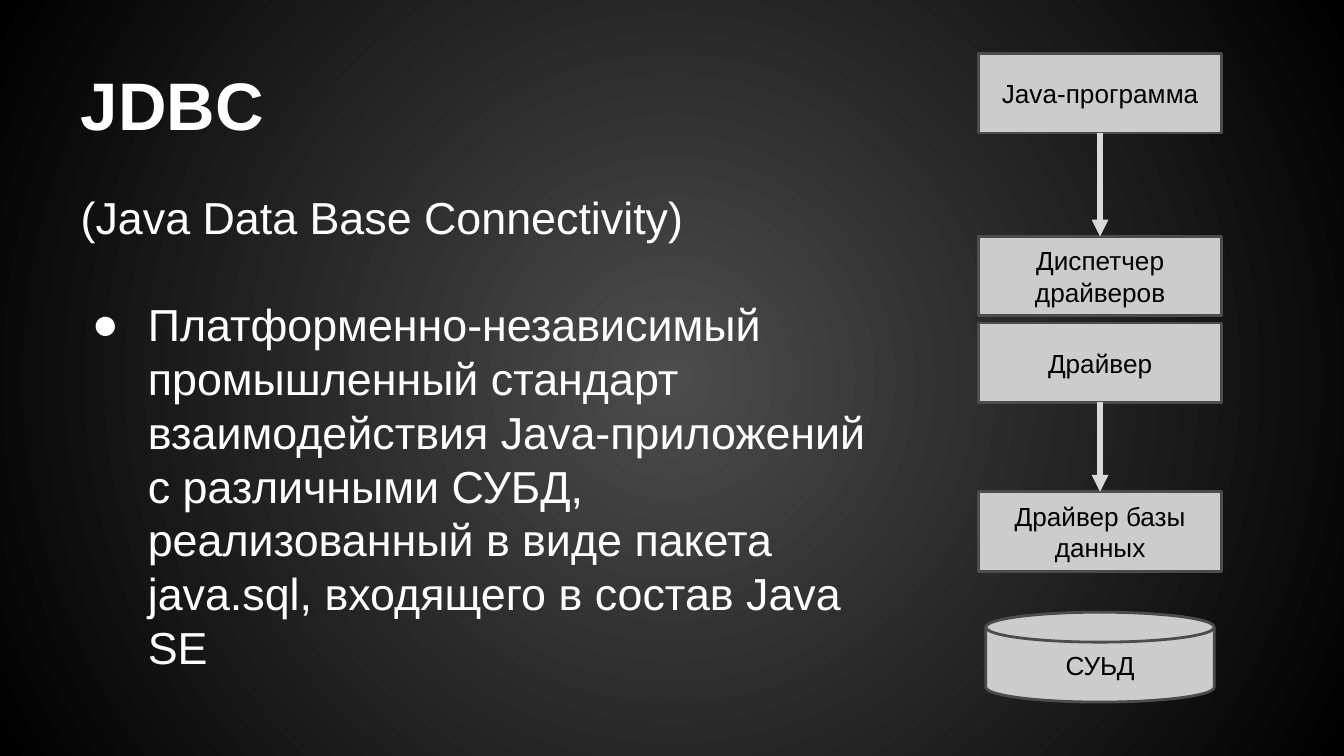
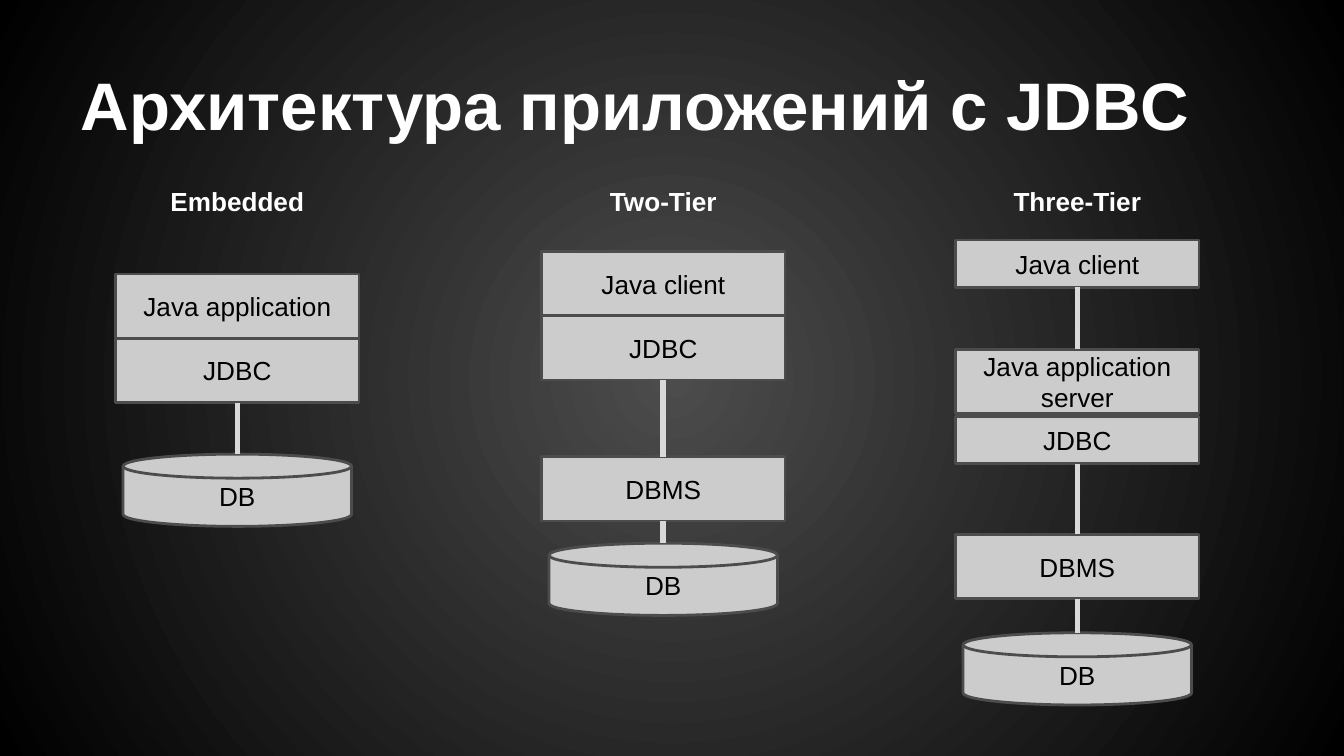
"""Builds two slides on JDBC and the architecture of applications that use it."""
from dataclasses import dataclass

from pptx import Presentation
from pptx.dml.color import RGBColor
from pptx.enum.shapes import MSO_CONNECTOR as CONNECTOR, MSO_SHAPE as SHAPE
from pptx.enum.text import MSO_ANCHOR as ANCHOR, MSO_AUTO_SIZE as AUTO_SIZE, PP_ALIGN as ALIGN
from pptx.oxml.ns import qn
from pptx.oxml.xmlchemy import OxmlElement
from pptx.util import Pt

WHITE = RGBColor(0xFF, 0xFF, 0xFF)
BLACK = RGBColor(0x00, 0x00, 0x00)
DARK_GREY = RGBColor(0x4C, 0x4C, 0x4C)
BOX_GREY = RGBColor(0xCC, 0xCC, 0xCC)
LINK_GREY = RGBColor(0xD9, 0xD9, 0xD9)
FONT = "Arial"
INSET = 7.2
BOX_WIDTH = 130.3
DISK_WIDTH = 122.4
TITLE_BOX = (36, 16.6, 648, 67.7)
BODY_BOX = (36, 94.3, 452.2, 293)
HEADING_TOP, HEADING_HEIGHT = 92.2, 46.8
TITLE_AND_BODY, TITLE_ONLY = 1, 5


@dataclass
class Tier:
    """One box of a stack; linked tiers are joined to the next one."""
    label: str
    top: float
    height: float = 34.5
    linked: bool = False


DRIVER_STACK = [
    Tier("Java-программа", 28.8, 42.5, True),
    Tier("Диспетчер драйверов", 126.7, 42.5),
    Tier("Драйвер", 173, 42.5, True),
    Tier("Драйвер базы данных", 263.5, 42.5),
    Tier("СУЬД", 328, 48.2),
]
ARCHITECTURES = [
    ("Embedded", 62, [
        Tier("Java application", 146.8),
        Tier("JDBC", 181.2, linked=True),
        Tier("DB", 243.3, 38.7),
    ]),
    ("Two-Tier", 290.2, [
        Tier("Java client", 134.7),
        Tier("JDBC", 169.1, linked=True),
        Tier("DBMS", 244.6, linked=True),
        Tier("DB", 291, 38.7),
    ]),
    ("Three-Tier", 512, [
        Tier("Java client", 128.6, 25.3, True),
        Tier("Java application server", 187.2),
        Tier("JDBC", 223.2, 25.3, True),
        Tier("DBMS", 286.3, linked=True),
        Tier("DB", 339, 38.7),
    ]),
]
ARCHITECTURES[2][2][0].linked = True


def points(*lengths):
    """Turn plain numbers into point lengths."""
    return [Pt(length) for length in lengths]


def place(shape, box):
    """Move a placeholder into the given box."""
    shape.left, shape.top, shape.width, shape.height = points(*box)


def format_frame(frame, anchor):
    """Set wrapping, insets and anchor of a text frame."""
    frame.word_wrap = True
    frame.auto_size = AUTO_SIZE.NONE
    frame.vertical_anchor = anchor
    frame.margin_left = frame.margin_right = Pt(INSET)
    frame.margin_top = frame.margin_bottom = Pt(INSET)


def write(paragraph, text, size, color, align, bold=False):
    """Add one formatted run to a paragraph."""
    paragraph.alignment = align
    paragraph.space_before = Pt(0)
    run = paragraph.add_run()
    run.text = text
    run.font.name = FONT
    run.font.size = Pt(size)
    run.font.bold = bold
    run.font.color.rgb = color


def set_bullet(paragraph, left, indent, character=None):
    """Set the indents of a paragraph and its bullet, if any."""
    properties = paragraph._p.get_or_add_pPr()
    properties.set("marL", str(Pt(left)))
    properties.set("indent", str(Pt(indent)))
    bullet = OxmlElement("a:buChar" if character else "a:buNone")
    if character:
        bullet.set("char", character)
    properties.append(bullet)


def paint_background(master):
    """Give every slide a radial gradient from grey to black."""
    fill = master.background.fill
    fill.gradient()
    for stop, color, position in zip(fill.gradient_stops, (DARK_GREY, BLACK), (0, 1)):
        stop.color.rgb = color
        stop.position = position
    gradient = master.element.find(".//" + qn("a:gradFill"))
    gradient.remove(gradient.find(qn("a:lin")))
    radial = OxmlElement("a:path")
    radial.set("path", "circle")
    center = OxmlElement("a:fillToRect")
    for side in "ltrb":
        center.set(side, "50000")
    radial.append(center)
    gradient.append(radial)


def add_titled_slide(presentation, layout, title):
    """Add a slide and fill its title placeholder."""
    slide = presentation.slides.add_slide(presentation.slide_layouts[layout])
    shape = slide.shapes.title
    place(shape, TITLE_BOX)
    format_frame(shape.text_frame, ANCHOR.BOTTOM)
    write(shape.text_frame.paragraphs[0], title, 36, WHITE, ALIGN.LEFT, True)
    return slide


def add_tier(shapes, left, tier, is_disk):
    """Draw one tier as a box, or as a disk centred on the box column."""
    width = DISK_WIDTH if is_disk else BOX_WIDTH
    kind = SHAPE.FLOWCHART_MAGNETIC_DISK if is_disk else SHAPE.RECTANGLE
    offset = (BOX_WIDTH - width) / 2
    shape = shapes.add_shape(kind, *points(left + offset, tier.top, width, tier.height))
    shape.shadow.inherit = False
    shape.fill.solid()
    shape.fill.fore_color.rgb = BOX_GREY
    shape.line.color.rgb = DARK_GREY
    shape.line.width = Pt(1.5)
    format_frame(shape.text_frame, ANCHOR.MIDDLE)
    write(shape.text_frame.paragraphs[0], tier.label, 14, BLACK, ALIGN.CENTER)


def add_link(shapes, x, top, bottom, arrow):
    """Draw a vertical link, with an arrowhead at the bottom if asked."""
    link = shapes.add_connector(CONNECTOR.STRAIGHT, *points(x, top, x, bottom))
    link.line.color.rgb = LINK_GREY
    link.line.width = Pt(3)
    if arrow:
        head = OxmlElement("a:tailEnd")
        head.set("type", "triangle")
        link.line._get_or_add_ln().append(head)
    link._element.spPr.append(OxmlElement("a:effectLst"))


def add_stack(shapes, left, tiers, arrow=False):
    """Draw a column of tiers ending in a disk, with its links."""
    for tier in tiers:
        add_tier(shapes, left, tier, tier is tiers[-1])
    for tier, following in zip(tiers, tiers[1:]):
        if tier.linked:
            add_link(shapes, left + BOX_WIDTH / 2, tier.top + tier.height, following.top, arrow)


def add_heading(shapes, left, text):
    """Write the heading above a column."""
    offset = (BOX_WIDTH - DISK_WIDTH) / 2
    heading = shapes.add_textbox(*points(left + offset, HEADING_TOP, DISK_WIDTH, HEADING_HEIGHT))
    format_frame(heading.text_frame, ANCHOR.TOP)
    write(heading.text_frame.paragraphs[0], text, 14, WHITE, ALIGN.CENTER, True)


def build_definition_slide(presentation):
    """Explain JDBC beside the stack of drivers."""
    slide = add_titled_slide(presentation, TITLE_AND_BODY, "JDBC")
    body = slide.placeholders[1]
    place(body, BODY_BOX)
    frame = body.text_frame
    format_frame(frame, ANCHOR.TOP)
    expansion = frame.paragraphs[0]
    write(expansion, "(Java Data Base Connectivity)", 24, WHITE, ALIGN.LEFT)
    set_bullet(expansion, 0, 0)
    definition = frame.add_paragraph()
    write(definition, "Платформенно-независимый промышленный стандарт взаимодействия "
          "Java-приложений с различными СУБД, реализованный в виде пакета java.sql, "
          "входящего в состав Java SE", 24, WHITE, ALIGN.LEFT)
    definition.space_before = Pt(28.8)
    set_bullet(definition, 36, -30, "●")
    add_stack(slide.shapes.add_group_shape().shapes, 524.2, DRIVER_STACK, arrow=True)


def build_architecture_slide(presentation):
    """Compare the three architectures in columns."""
    slide = add_titled_slide(presentation, TITLE_ONLY, "Архитектура приложений с JDBC")
    for heading, left, tiers in ARCHITECTURES:
        add_heading(slide.shapes, left, heading)
        add_stack(slide.shapes, left, tiers)


def main():
    """Build and save the presentation."""
    presentation = Presentation()
    presentation.slide_width, presentation.slide_height = points(720, 405)
    paint_background(presentation.slide_master)
    build_definition_slide(presentation)
    build_architecture_slide(presentation)
    presentation.save("out.pptx")


if __name__ == "__main__":
    main()
